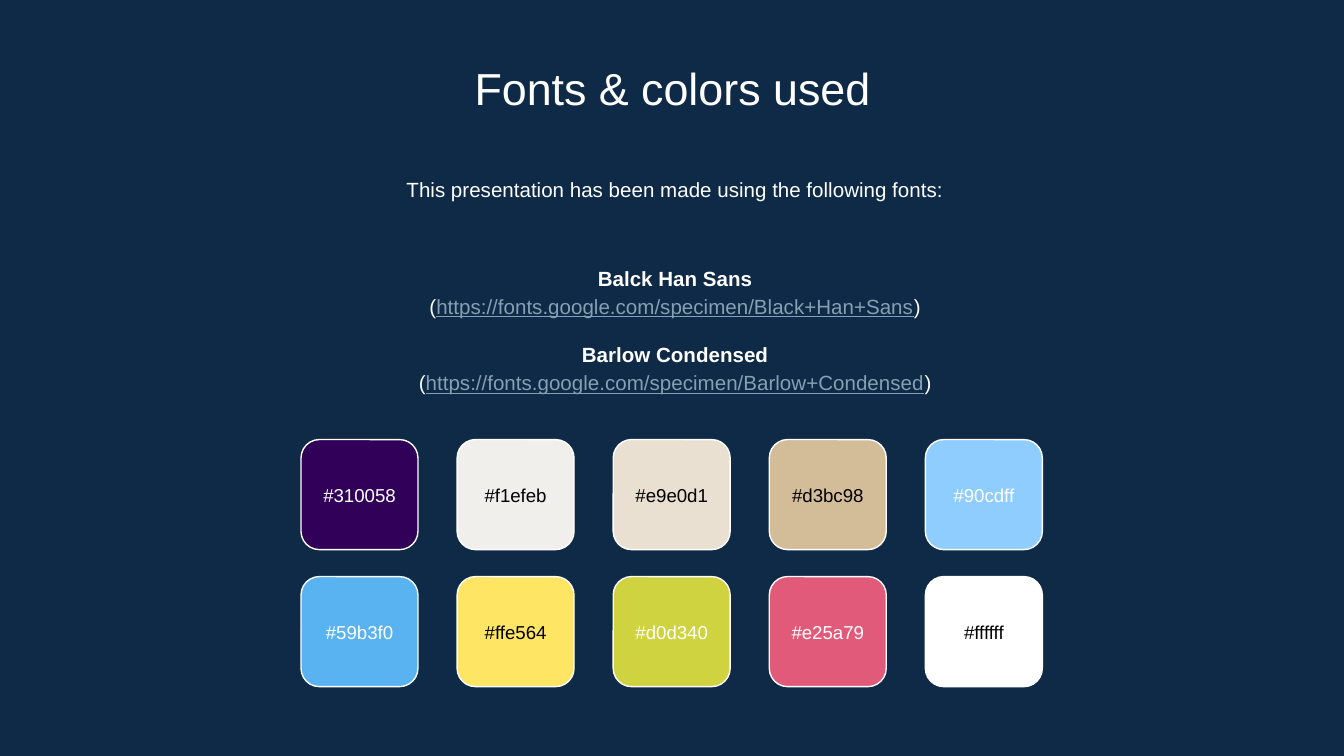
from dataclasses import dataclass
from typing import Any

from pptx import Presentation
from pptx.dml.color import RGBColor
from pptx.enum.shapes import MSO_SHAPE
from pptx.enum.text import MSO_ANCHOR, PP_ALIGN
from pptx.util import Cm, Pt

ROUND = MSO_SHAPE.ROUNDED_RECTANGLE
TOP, MIDDLE = MSO_ANCHOR.TOP, MSO_ANCHOR.MIDDLE
CENTER = PP_ALIGN.CENTER

HUES = {"back": "0E2A47", "light": "FFFFFF", "dark": "000000", "link": "869FB2"}
FACE = "Arial"
COLS = 5
LEFT, FIRST = 5.69, 8.31
STEP_X, STEP_Y = 2.95, 2.59
WIDE, HIGH = 2.21, 2.08
LABEL = 1.22


@dataclass
class Run:
    text: str
    hue: str = "light"
    bold: bool = False
    under: bool = False


@dataclass
class Line:
    runs: list[Run]
    gap: float = 0


@dataclass
class Box:
    left: float
    top: float
    width: float
    height: float


@dataclass
class Swatch:
    code: str
    ink: str


SWATCHES = [
    Swatch("#310058", "light"),
    Swatch("#f1efeb", "dark"),
    Swatch("#e9e0d1", "dark"),
    Swatch("#d3bc98", "dark"),
    Swatch("#90cdff", "light"),
    Swatch("#59b3f0", "light"),
    Swatch("#ffe564", "dark"),
    Swatch("#d0d340", "light"),
    Swatch("#e25a79", "light"),
    Swatch("#ffffff", "dark"),
]


def tint(code: str) -> RGBColor:
    return RGBColor.from_string(code.lstrip("#").upper())


def apply(item: Any, form: dict[str, Any]) -> None:
    for key, value in form.items():
        setattr(item, key, value)


def write(slide: Any, box: Box, lines: list[Line], size: int,
          anchor: Any = TOP, space: float = 1) -> None:
    area = (Cm(box.left), Cm(box.top), Cm(box.width), Cm(box.height))
    frame = slide.shapes.add_textbox(*area).text_frame
    sides = ("left", "top", "right", "bottom")
    form = {f"margin_{side}": Cm(0.25) for side in sides}
    apply(frame, form | {"word_wrap": True, "vertical_anchor": anchor})
    for place, line in enumerate(lines):
        para = frame.add_paragraph() if place else frame.paragraphs[0]
        apply(para, {"alignment": CENTER, "line_spacing": space})
        if line.gap:
            para.space_before = Pt(line.gap)
        for part in line.runs:
            run = para.add_run()
            run.text = part.text
            apply(run.font, {"name": FACE, "size": Pt(size),
                             "bold": part.bold, "underline": part.under})
            run.font.color.rgb = tint(HUES[part.hue])


def source(name: str, link: str, gap: float = 0) -> list[Line]:
    return [
        Line([Run(name, bold=True)], gap),
        Line([Run("("), Run(link, "link", under=True), Run(")")]),
    ]


def draw(slide: Any, swatch: Swatch, left: float, top: float) -> None:
    tile = slide.shapes.add_shape(ROUND, Cm(left), Cm(top), Cm(WIDE), Cm(HIGH))
    tile.shadow.inherit = False
    tile.fill.solid()
    tile.fill.fore_color.rgb = tint(swatch.code)
    tile.line.color.rgb = tint(HUES["light"])
    tile.line.width = Pt(0.75)
    box = Box(left, top + (HIGH - LABEL) / 2, WIDE, LABEL)
    write(slide, box, [Line([Run(swatch.code, swatch.ink)])], 10, MIDDLE)


def main() -> None:
    deck = Presentation()
    apply(deck, {"slide_width": Cm(25.4), "slide_height": Cm(14.29)})
    slide = deck.slides.add_slide(deck.slide_layouts[6])
    fill = slide.background.fill
    fill.solid()
    fill.fore_color.rgb = tint(HUES["back"])

    title = [Line([Run("Fonts & colors used")])]
    write(slide, Box(2.92, 0.89, 19.58, 1.35), title, 24)
    intro = "This presentation has been made using the following fonts:"
    write(slide, Box(2.97, 3.02, 19.58, 1.22), [Line([Run(intro)])], 11, space=1.15)
    fonts = source("Balck Han Sans", "https://fonts.google.com/specimen/Black+Han+Sans")
    fonts += source("Barlow Condensed",
                    "https://fonts.google.com/specimen/Barlow+Condensed", 10.6)
    write(slide, Box(2.97, 4.47, 19.58, 3.48), fonts, 11, MIDDLE, 1.15)

    for place, swatch in enumerate(SWATCHES):
        row, col = divmod(place, COLS)
        draw(slide, swatch, LEFT + col * STEP_X, FIRST + row * STEP_Y)
    deck.save("out.pptx")


if __name__ == "__main__":
    main()
